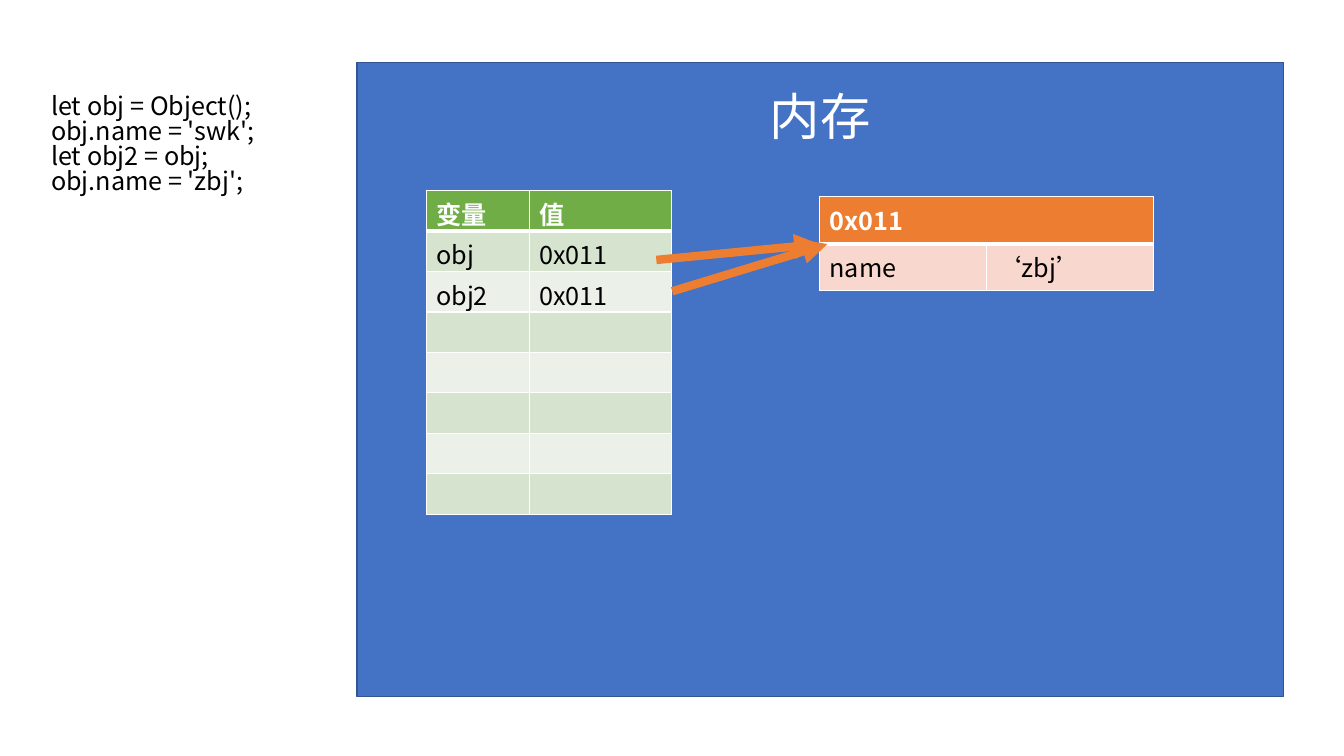
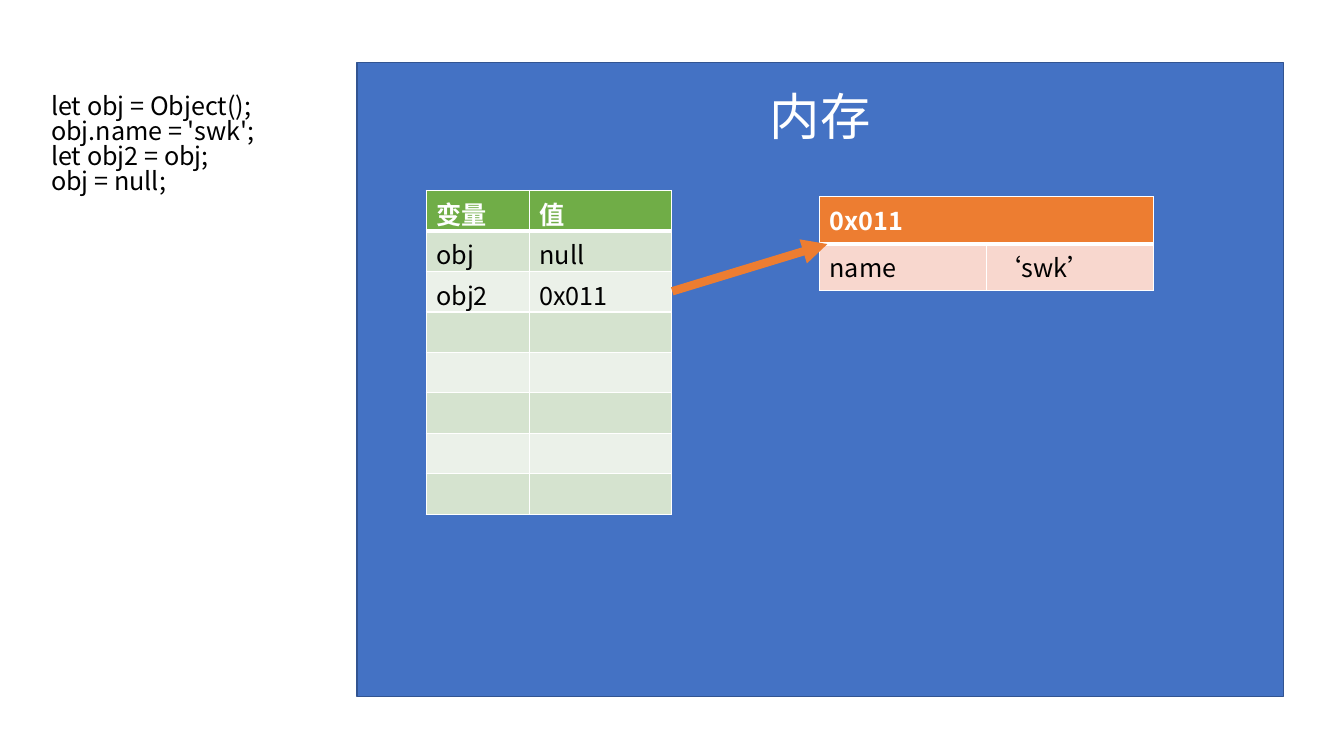
from lxml import etree
from pptx import Presentation
from pptx.dml.color import RGBColor
from pptx.enum.shapes import MSO_CONNECTOR, MSO_SHAPE
from pptx.enum.text import MSO_ANCHOR, PP_ALIGN
from pptx.oxml.ns import qn
from pptx.util import Cm, Pt

RECT = MSO_SHAPE.RECTANGLE
STRAIGHT = MSO_CONNECTOR.STRAIGHT
TOP = MSO_ANCHOR.TOP
LEFT, CENTER = PP_ALIGN.LEFT, PP_ALIGN.CENTER

FONT = "Noto Sans CJK SC"
WHITE, BLACK = "FFFFFF", "000000"
BLUE, NAVY = "4472C4", "325491"
GREEN, GREEN_BANDS = "70AD47", ("D5E3CF", "EBF1E9")
ORANGE, ORANGE_BANDS = "ED7D31", ("F8D7CE",)


def rgb(value):
    return RGBColor.from_string(value)


def write(tf, text, size=18, color=BLACK, bold=False, align=LEFT, spacing=0.82):
    for i, line in enumerate(text.split("\n")):
        p = tf.add_paragraph() if i else tf.paragraphs[0]
        p.alignment = align
        p.line_spacing = spacing
        r = p.add_run()
        r.text = line
        r.font.size = Pt(size)
        r.font.bold = bold
        r.font.name = FONT
        r.font.color.rgb = rgb(color)
        ea = etree.SubElement(r.font._element, qn("a:ea"))
        ea.set("typeface", FONT)


def add_border(cell, side, width):
    ln = etree.SubElement(cell._tc.get_or_add_tcPr(), qn("a:" + side), w=str(Pt(width)))
    fill = etree.SubElement(ln, qn("a:solidFill"))
    etree.SubElement(fill, qn("a:srgbClr"), val=WHITE)


class Deck:
    def __init__(self):
        self.prs = Presentation()
        self.prs.slide_width, self.prs.slide_height = Cm(33.87), Cm(19.05)
        self.s = None

    def new_slide(self):
        self.s = self.prs.slides.add_slide(self.prs.slide_layouts[6])

    def panel(self, title, x, y, w, h):
        sp = self.s.shapes.add_shape(RECT, Cm(x), Cm(y), Cm(w), Cm(h))
        sp.shadow.inherit = False
        sp.fill.solid()
        sp.fill.fore_color.rgb = rgb(BLUE)
        sp.line.color.rgb = rgb(NAVY)
        sp.line.width = Pt(1)
        tf = sp.text_frame
        tf.vertical_anchor = TOP
        tf.margin_top = Cm(0.56)
        write(tf, title, size=36, color=WHITE, align=CENTER, spacing=1.0)

    def code(self, text, x, y, w, h):
        tf = self.s.shapes.add_textbox(Cm(x), Cm(y), Cm(w), Cm(h)).text_frame
        tf.word_wrap = True
        write(tf, text)

    def table(self, rows, x, y, widths, row_height, head, bands):
        shape = self.s.shapes.add_table(len(rows), len(widths), Cm(x), Cm(y),
                                        Cm(sum(widths)), Cm(row_height * len(rows)))
        table = shape.table
        for column, width in zip(table.columns, widths):
            column.width = Cm(width)
        for i, texts in enumerate(rows):
            table.rows[i].height = Cm(row_height)
            for j in range(len(widths)):
                text = texts[j] if j < len(texts) else ""
                self.cell(table.cell(i, j), text, i, head, bands)
            if len(texts) == 1:
                table.cell(i, 0).merge(table.cell(i, len(widths) - 1))

    def cell(self, cell, text, row, head, bands):
        is_head = row == 0
        cell.margin_bottom = 0
        add_border(cell, "lnL", 1)
        add_border(cell, "lnR", 1)
        add_border(cell, "lnT", 3 if row == 1 else 1)
        add_border(cell, "lnB", 3 if is_head else 1)
        cell.fill.solid()
        cell.fill.fore_color.rgb = rgb(head if is_head else bands[(row - 1) % len(bands)])
        if text:
            cell.margin_top = Cm(0.25)
            write(cell.text_frame, text, color=WHITE if is_head else BLACK, bold=is_head)

    def arrow(self, x1, y1, x2, y2):
        c = self.s.shapes.add_connector(STRAIGHT, Cm(x1), Cm(y1), Cm(x2), Cm(y2))
        c.line.color.rgb = rgb(ORANGE)
        c.line.width = Pt(6)
        etree.SubElement(c.line._get_or_add_ln(), qn("a:tailEnd"), type="triangle")
        etree.SubElement(c._element.spPr, qn("a:effectLst"))

    def memory_slide(self, last_line, obj_value, name_value, arrows):
        self.new_slide()
        self.panel("内存", 9, 1.58, 23.35, 15.97)
        code = "let obj = Object();\nobj.name = 'swk';\nlet obj2 = obj;\n"
        self.code(code + last_line, 1.04, 2.29, 6.96, 3.4)
        variables = [("变量", "值"), ("obj", obj_value), ("obj2", "0x011")]
        self.table(variables + [("", "")] * 5, 10.74, 4.8, (2.6, 3.58), 1.02,
                   GREEN, GREEN_BANDS)
        self.table([("0x011",), ("name", name_value)], 20.65, 4.95, (4.21, 4.21), 1.19,
                   ORANGE, ORANGE_BANDS)
        for ends in arrows:
            self.arrow(*ends)


def main():
    obj_arrow = (16.54, 6.55, 20.65, 6.15)
    obj2_arrow = (16.94, 7.34, 20.85, 6.15)
    deck = Deck()
    deck.memory_slide("obj.name = 'zbj';", "0x011", "‘zbj’", [obj_arrow, obj2_arrow])
    deck.memory_slide("obj = null;", "null", "‘swk’", [obj2_arrow])
    deck.prs.save("out.pptx")


if __name__ == "__main__":
    main()
